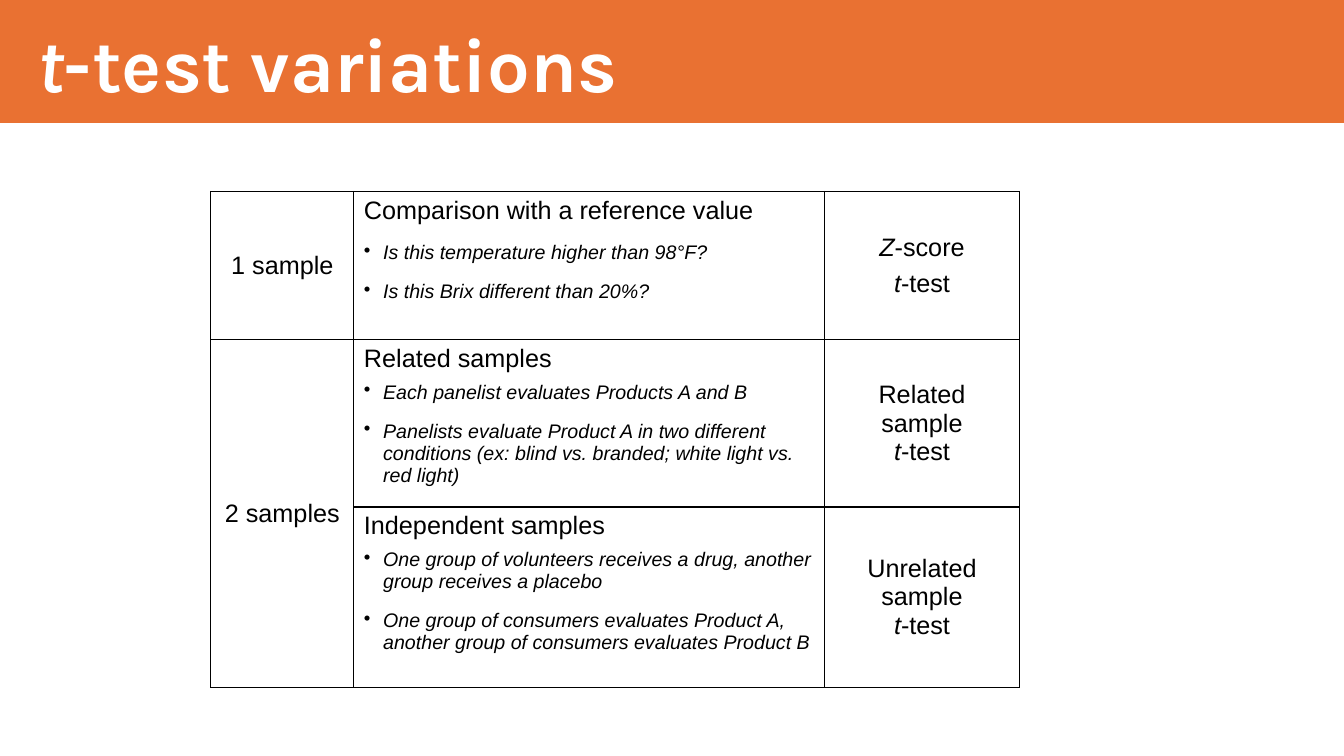
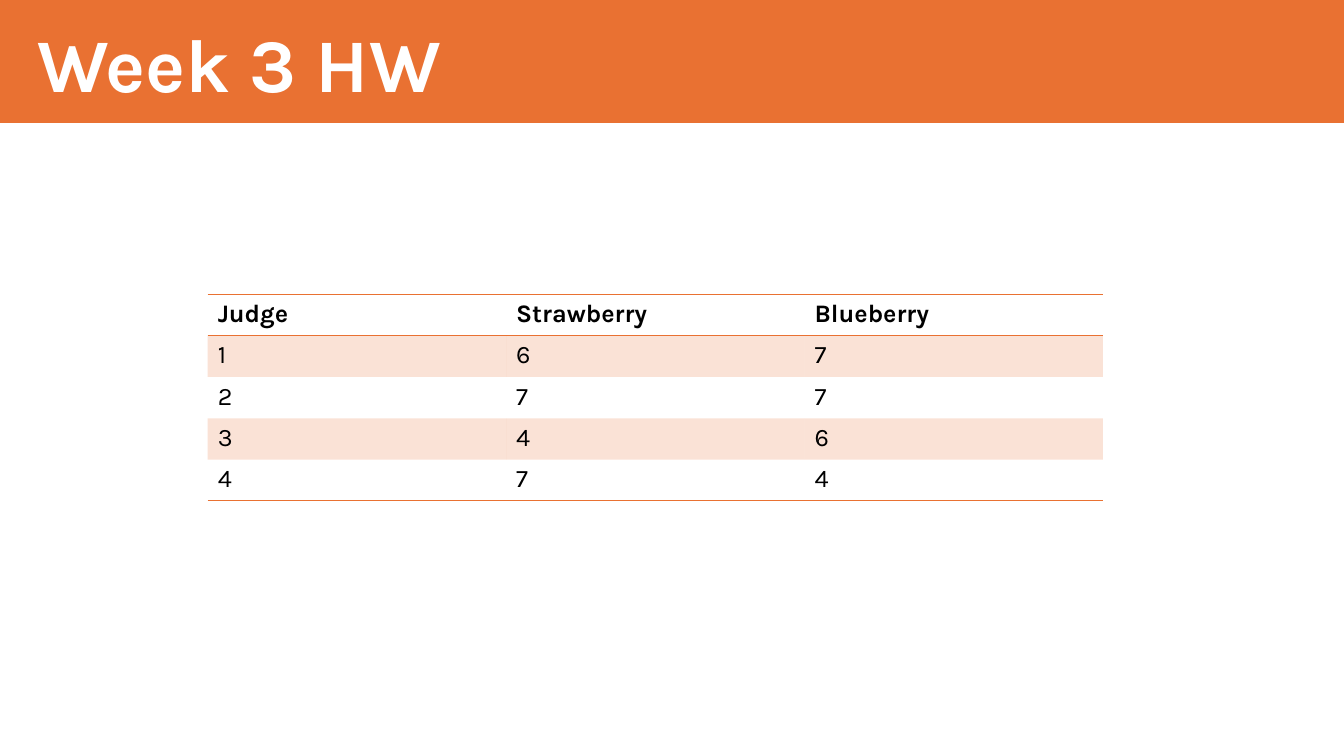
"""Build two slides on t-test variations and a homework table."""
from pptx import Presentation
from pptx.dml.color import RGBColor
from pptx.enum.shapes import MSO_SHAPE
from pptx.enum.text import MSO_ANCHOR, PP_ALIGN
from pptx.oxml import parse_xml
from pptx.oxml.ns import nsdecls, qn
from pptx.util import Inches, Pt

ORANGE, WHITE, BLACK = "E97132", "FFFFFF", "000000"
PLAIN_TABLE_STYLE = "{2D5ABB26-0587-4C30-8999-92F81FD0307C}"
WIDTH, HEIGHT = 13.33, 7.5

VARIATIONS_TITLE = "*t*-test variations"
VARIATION_COLUMNS = (1.42, 4.67, 1.93)
VARIATION_ROWS = (1.47, 1.66, 1.79)
VARIATIONS = [
    (
        [("1 sample", 0, 0)],
        [
            ("Comparison with a reference value", 0, 6),
            ("*Is this temperature higher than 98°F?*", 6, 6),
            ("*Is this Brix different than 20%?*", 6, 0),
        ],
        [("*Z*-score", 0, 0), ("*t*-test", 6, 0)],
    ),
    (
        [("2 samples", 0, 0)],
        [
            ("Related samples", 0, 0),
            ("*Each panelist evaluates Products A and B*", 6, 6),
            ("*Panelists evaluate Product A in two different conditions "
             "(ex: blind vs. branded; white light vs. red light)*", 6, 12),
        ],
        [("Related sample\n*t*-test", 0, 0)],
    ),
    (
        [],
        [
            ("Independent samples", 0, 0),
            ("*One group of volunteers receives a drug, another group receives a placebo*", 6, 6),
            ("*One group of consumers evaluates Product A, "
             "another group of consumers evaluates Product B*", 6, 12),
        ],
        [("Unrelated sample\n*t*-test", 0, 0)],
    ),
]

HOMEWORK_TITLE = "Week 3 HW"
SCORES = [
    ("Judge", "Strawberry", "Blueberry"),
    ("1", "6", "7"),
    ("2", "7", "7"),
    ("3", "4", "6"),
    ("4", "7", "4"),
]


def color(code):
    return RGBColor.from_string(code)


def write(para, text, size, font, ink=BLACK, bold=False):
    """Add text to a paragraph, with italics between asterisks."""
    italic = False
    for line_number, line in enumerate(text.split("\n")):
        if line_number:
            para.add_line_break()
        for number, piece in enumerate(line.split("*")):
            italic = number % 2 == 1
            if piece:
                span = para.add_run()
                span.text = piece
                span.font.size, span.font.name = Pt(size), font
                span.font.bold, span.font.italic = bold, italic
                span.font.color.rgb = color(ink)


def add_bullet(para):
    properties = para._p.get_or_add_pPr()
    properties.set("marL", str(Inches(0.19)))
    properties.set("indent", str(-Inches(0.19)))
    properties.append(parse_xml(f'<a:buChar {nsdecls("a")} char="•"/>'))


def add_borders(cell, sides, ink):
    properties = cell._tc.get_or_add_tcPr()
    for side in sides:
        properties.append(parse_xml(
            f'<a:ln{side} {nsdecls("a")} w="{Pt(1)}"><a:solidFill>'
            f'<a:srgbClr val="{ink}"/></a:solidFill></a:ln{side}>'))


def tint(cell, ink, percent):
    cell.fill.solid()
    cell.fill.fore_color.rgb = color(ink)
    swatch = cell._tc.tcPr.find(f'{qn("a:solidFill")}/{qn("a:srgbClr")}')
    swatch.append(parse_xml(f'<a:alpha {nsdecls("a")} val="{percent * 1000}"/>'))


def add_page(deck, title):
    """Add a page with the shared band and title."""
    page = deck.slides.add_slide(deck.slide_layouts[6])
    band = page.shapes.add_shape(MSO_SHAPE.RECTANGLE, 0, 0, deck.slide_width, Inches(1.22))
    band.shadow.inherit = False
    band.fill.solid()
    band.fill.fore_color.rgb = color(ORANGE)
    band.line.fill.background()
    box = page.shapes.add_textbox(Inches(0.27), Inches(-0.34), Inches(11.5), Inches(1.47))
    frame = box.text_frame
    frame.word_wrap = True
    frame.vertical_anchor = MSO_ANCHOR.BOTTOM
    para = frame.paragraphs[0]
    para.line_spacing = 0.9
    write(para, title, 54, "Karla", WHITE, bold=True)
    return page


def add_plain_table(page, left, top, columns, rows):
    """Add an unstyled table with the given column widths and row heights."""
    table = page.shapes.add_table(
        len(rows), len(columns), Inches(left), Inches(top),
        Inches(sum(columns)), Inches(sum(rows))).table
    table._tbl.tblPr.find(qn("a:tableStyleId")).text = PLAIN_TABLE_STYLE
    table.first_row = table.horz_banding = False
    for column, width in zip(table.columns, columns):
        column.width = Inches(width)
    for row, height in zip(table.rows, rows):
        row.height = Inches(height)
    return table


def add_variations(deck):
    page = add_page(deck, VARIATIONS_TITLE)
    table = add_plain_table(page, 2.09, 1.9, VARIATION_COLUMNS, VARIATION_ROWS)
    table.cell(1, 0).merge(table.cell(2, 0))
    for row, contents in enumerate(VARIATIONS):
        for column, lines in enumerate(contents):
            cell = table.cell(row, column)
            add_borders(cell, "LRTB", BLACK)
            cell.fill.background()
            described = column == 1
            cell.vertical_anchor = MSO_ANCHOR.TOP if described else MSO_ANCHOR.MIDDLE
            for number, (text, before, after) in enumerate(lines):
                frame = cell.text_frame
                para = frame.add_paragraph() if number else frame.paragraphs[0]
                bulleted = described and number > 0
                if bulleted:
                    add_bullet(para)
                para.alignment = PP_ALIGN.LEFT if described else PP_ALIGN.CENTER
                para.space_before, para.space_after = Pt(before), Pt(after)
                write(para, text, 14 if bulleted else 18, "Arial")


def add_homework(deck):
    page = add_page(deck, HOMEWORK_TITLE)
    table = add_plain_table(page, 2.06, 2.92, [2.96] * len(SCORES[0]), [0.41] * len(SCORES))
    edges = {0: "TB", len(SCORES) - 1: "B"}
    for row, values in enumerate(SCORES):
        for column, value in enumerate(values):
            cell = table.cell(row, column)
            add_borders(cell, edges.get(row, ""), ORANGE)
            if row % 2:
                tint(cell, ORANGE, 20)
            else:
                cell.fill.background()
            write(cell.text_frame.paragraphs[0], value, 18, "Karla", bold=row == 0)


def main():
    deck = Presentation()
    deck.slide_width, deck.slide_height = Inches(WIDTH), Inches(HEIGHT)
    add_variations(deck)
    add_homework(deck)
    deck.save("out.pptx")


if __name__ == "__main__":
    main()
